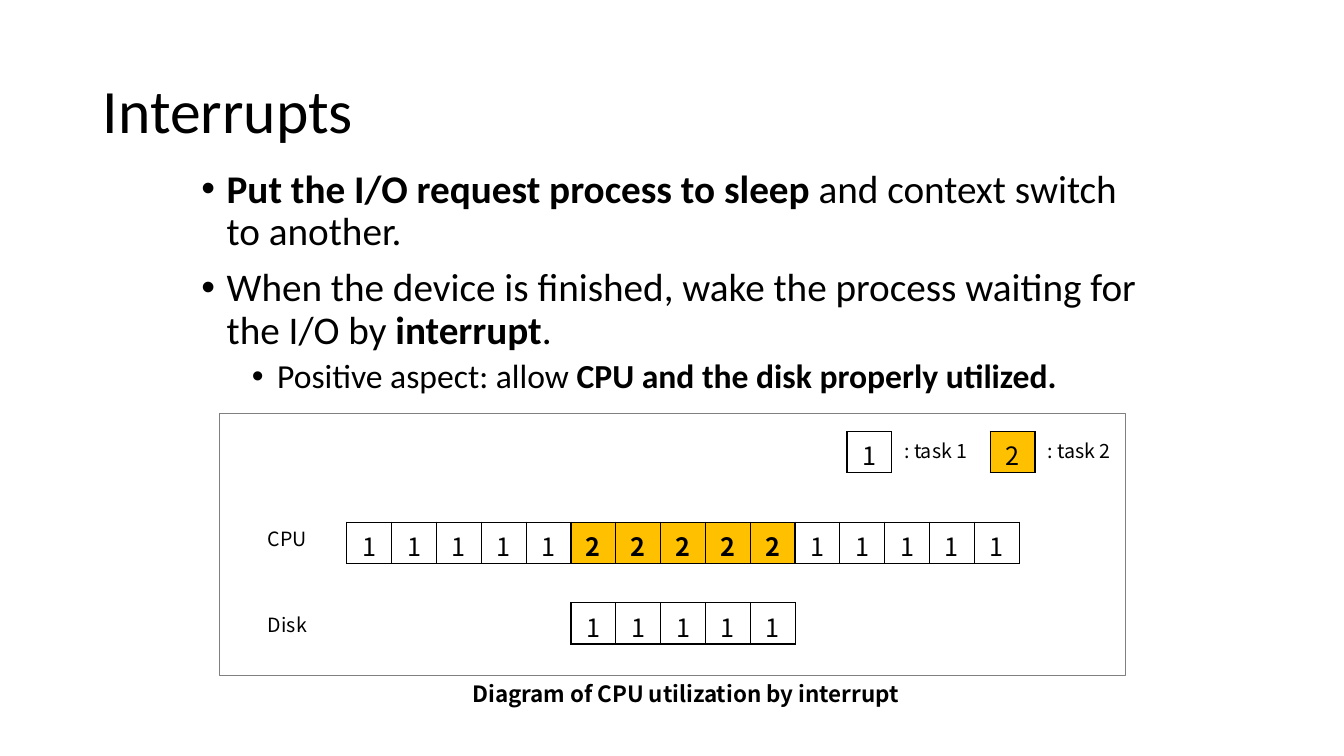
from lxml import etree
from pptx import Presentation
from pptx.dml.color import RGBColor
from pptx.enum.shapes import MSO_SHAPE
from pptx.enum.text import MSO_ANCHOR, PP_ALIGN
from pptx.oxml.ns import qn
from pptx.util import Inches, Pt

LEFT, CENTER = PP_ALIGN.LEFT, PP_ALIGN.CENTER
MIDDLE = MSO_ANCHOR.MIDDLE
RECTANGLE = MSO_SHAPE.RECTANGLE

COLORS = {"text": "000000", "frame": "808080", "task 2": "FFC000"}
BODY_FONT, DIAGRAM_FONT = "Calibri", "Noto Sans CJK KR"
CELL_WIDTH, CELL_HEIGHT = 6.67 / 15, 0.41


def write(paragraph, text, size=18, bold=False, font=DIAGRAM_FONT, align=LEFT):
    paragraph.alignment = align
    run = paragraph.add_run()
    run.text = text
    run.font.size = Pt(size)
    run.font.bold = bold
    run.font.name = font
    run.font.color.rgb = RGBColor.from_string(COLORS["text"])


def add_timeline(slide, left, top, tasks, bold_task=None):
    """Add a one-row table with one cell per time slot."""
    table = slide.shapes.add_table(
        1, len(tasks), Inches(left), Inches(top),
        Inches(CELL_WIDTH * len(tasks)), Inches(CELL_HEIGHT)).table
    table.first_row = table.horz_banding = False
    table.rows[0].height = Inches(CELL_HEIGHT)
    for column, task in enumerate(tasks):
        table.columns[column].width = Inches(CELL_WIDTH)
        cell = table.cell(0, column)
        write(cell.text_frame.paragraphs[0], task, bold=task == bold_task, align=CENTER)
        properties = cell._tc.get_or_add_tcPr()
        for side in ("a:lnL", "a:lnR", "a:lnT", "a:lnB"):
            border = etree.SubElement(properties, qn(side), w=str(Pt(1)))
            fill = etree.SubElement(border, qn("a:solidFill"))
            etree.SubElement(fill, qn("a:srgbClr"), val=COLORS["text"])
        if task == "2":
            cell.fill.solid()
            cell.fill.fore_color.rgb = RGBColor.from_string(COLORS["task 2"])
        else:
            cell.fill.background()


presentation = Presentation()
presentation.slide_width, presentation.slide_height = Inches(13.33), Inches(7.5)
slide = presentation.slides.add_slide(presentation.slide_layouts[5])

# Title
title = slide.shapes.title
title.left, title.top = Inches(0.92), Inches(0.4)
title.width, title.height = Inches(11.5), Inches(1.45)
title.text_frame.vertical_anchor = MIDDLE
heading = title.text_frame.paragraphs[0]
heading.line_spacing = 0.9
write(heading, "Interrupts", size=44, font=BODY_FONT)

# Bullets: indent, size, space before, (text, bold) runs
bullets = [
    (0.25, 28, 0, [("Put the I/O request process to sleep ", True),
                   ("and context switch to another.", False)]),
    (0.25, 28, 10, [("When the device is finished, wake the process waiting for the I/O by ", False),
                    ("interrupt", True), (".", False)]),
    (0.75, 24, 5, [("Positive aspect: allow ", False),
                   ("CPU and the disk properly utilized.", True)]),
]
body = slide.shapes.add_textbox(Inches(1.9), Inches(1.63), Inches(9.61), Inches(4.6))
body.text_frame.word_wrap = True
for index, (indent, size, space, runs) in enumerate(bullets):
    paragraph = body.text_frame.paragraphs[0] if index == 0 else body.text_frame.add_paragraph()
    properties = paragraph._p.get_or_add_pPr()
    properties.set("marL", str(Inches(indent)))
    properties.set("indent", str(Inches(-0.25)))
    etree.SubElement(properties, qn("a:buFont"), typeface="Arial")
    etree.SubElement(properties, qn("a:buChar"), char="•")
    paragraph.level = 1 if indent > 0.25 else 0
    paragraph.line_spacing = 0.9
    paragraph.space_before = Pt(space)
    for text, bold in runs:
        write(paragraph, text, size=size, bold=bold, font=BODY_FONT)

# Diagram frame
frame = slide.shapes.add_shape(RECTANGLE, Inches(2.18), Inches(4.1), Inches(8.98), Inches(2.6))
frame.shadow.inherit = False
frame.fill.background()
frame.line.color.rgb = RGBColor.from_string(COLORS["frame"])
frame.line.width = Pt(0.75)

# CPU and disk timelines, then the legend keys
add_timeline(slide, 3.44, 5.18, "1" * 5 + "2" * 5 + "1" * 5, bold_task="2")
add_timeline(slide, 3.44 + 5 * CELL_WIDTH, 5.98, "1" * 5)
add_timeline(slide, 8.4, 4.28, "1")
add_timeline(slide, 9.82, 4.28, "2")

# Labels and caption
labels = [
    ("CPU", 2.56, 5.18, 0.8, 0.34, {"size": 14}),
    ("Disk", 2.56, 6.03, 0.8, 0.34, {"size": 14}),
    (": task 1", 8.87, 4.31, 1.34, 0.34, {"size": 14}),
    (": task 2", 10.29, 4.31, 0.87, 0.34, {"size": 14}),
    ("Diagram of CPU utilization by interrupt ", 4.15, 6.7, 5.35, 0.37,
     {"size": 16, "bold": True, "align": CENTER}),
]
for text, left, top, width, height, style in labels:
    label = slide.shapes.add_textbox(Inches(left), Inches(top), Inches(width), Inches(height))
    label.text_frame.word_wrap = True
    write(label.text_frame.paragraphs[0], text, **style)

presentation.save("out.pptx")
